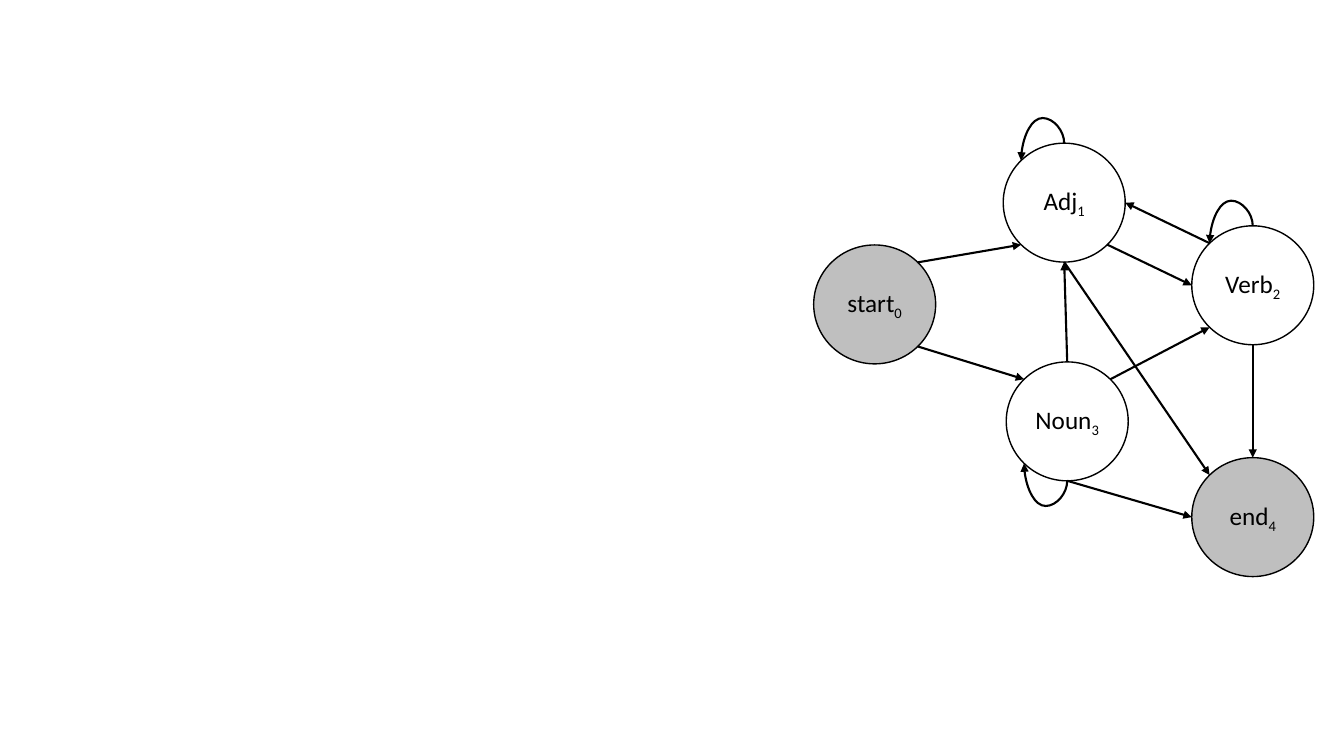
"""Build a slide with the state graph of a part-of-speech Markov model."""
import math
from dataclasses import dataclass

import lxml.etree
import pptx
import pptx.dml.color
import pptx.enum.shapes
import pptx.enum.text
import pptx.oxml.ns
import pptx.util

COLORS = {"ink": "000000", "terminal": "BFBFBF"}
FONT = "Calibri"
STATE_WIDTH, STATE_HEIGHT = 1.21, 1.18
DIAGONAL = math.sqrt(0.5)
LOOP_BULGE = -144600
SITES = {
    "top": (0, -1), "bottom": (0, 1), "left": (-1, 0), "right": (1, 0),
    "top_left": (-DIAGONAL, -DIAGONAL), "top_right": (DIAGONAL, -DIAGONAL),
    "bottom_left": (-DIAGONAL, DIAGONAL), "bottom_right": (DIAGONAL, DIAGONAL),
}


@dataclass(frozen=True)
class State:
    """One state of the model, placed by its left and top in inches."""
    word: str
    index: str
    left: float
    top: float
    terminal: bool = False

    def site(self, side: str) -> tuple[float, float]:
        """Return the point on the outline at the named side."""
        across, down = SITES[side]
        return (self.left + STATE_WIDTH * (1 + across) / 2,
                self.top + STATE_HEIGHT * (1 + down) / 2)


@dataclass(frozen=True)
class Transition:
    """A straight arrow between two states."""
    source: State
source_side: str = ""


@dataclass(frozen=True)
class Step:
    """A straight arrow from a side of one state to a side of another."""
    source: State
    leaves: str
    target: State
    enters: str


@dataclass(frozen=True)
class Loop:
    """A curved arrow from a state back to itself, above or below it."""
    state: State
    side: str


NOUN = State("Noun", "3", 9.98, 3.59)
VERB = State("Verb", "2", 11.82, 2.24)
START = State("start", "0", 8.07, 2.43, terminal=True)
END = State("end", "4", 11.82, 4.54, terminal=True)
ADJ = State("Adj", "1", 9.95, 1.42)
STATES = [NOUN, VERB, START, END, ADJ]
STEPS = [
    Step(START, "top_right", ADJ, "bottom_left"),
    Step(ADJ, "bottom_right", VERB, "left"),
    Step(START, "bottom_right", NOUN, "top_left"),
    Step(NOUN, "top_right", VERB, "bottom_left"),
    Step(NOUN, "bottom", END, "left"),
    Step(VERB, "bottom", END, "top"),
    Step(ADJ, "bottom", END, "top_left"),
    Step(VERB, "top_left", ADJ, "right"),
    Step(NOUN, "top", ADJ, "bottom"),
]
LOOPS = [Loop(NOUN, "bottom"), Loop(ADJ, "top"), Loop(VERB, "top")]


def color(name: str) -> pptx.dml.color.RGBColor:
    """Look up a named colour."""
    return pptx.dml.color.RGBColor.from_string(COLORS[name])


def draw_state(slide: pptx.slide.Slide, state: State) -> None:
    """Draw a state as a circle with its word and subscript index."""
    circle = slide.shapes.add_shape(
        pptx.enum.shapes.MSO_SHAPE.OVAL,
        *map(pptx.util.Inches, (state.left, state.top, STATE_WIDTH, STATE_HEIGHT)))
    circle.shadow.inherit = False
    if state.terminal:
        circle.fill.solid()
        circle.fill.fore_color.rgb = color("terminal")
    else:
        circle.fill.background()
    circle.line.color.rgb = color("ink")
    circle.line.width = pptx.util.Pt(1)
    circle.text_frame.vertical_anchor = pptx.enum.text.MSO_ANCHOR.MIDDLE
    label = circle.text_frame.paragraphs[0]
    label.alignment = pptx.enum.text.PP_ALIGN.CENTER
    for text, baseline in ((state.word, 0), (state.index, -25000)):
        run = label.add_run()
        run.text = text
        run.font.size = pptx.util.Pt(18)
        run.font.name = FONT
        run.font.color.rgb = color("ink")
        if baseline:
            run.font._element.set("baseline", str(baseline))


def draw_arrow(slide: pptx.slide.Slide, kind: pptx.enum.shapes.MSO_CONNECTOR,
               begin: tuple[float, float],
               end: tuple[float, float]) -> pptx.shapes.connector.Connector:
    """Draw a connector with a triangle head at its end."""
    arrow = slide.shapes.add_connector(
        kind, *map(pptx.util.Inches, (*begin, *end)))
    arrow.line.color.rgb = color("ink")
    arrow.line.width = pptx.util.Pt(1.5)
    properties = arrow._element.spPr
    lxml.etree.SubElement(properties.get_or_add_ln(),
                          pptx.oxml.ns.qn("a:tailEnd"), type="triangle")
    lxml.etree.SubElement(properties, pptx.oxml.ns.qn("a:effectLst"))
    return arrow


def draw_loop(slide: pptx.slide.Slide, loop: Loop) -> None:
    """Draw a curved connector turned a quarter so that it bulges outwards."""
    (begin_x, begin_y), (end_x, end_y) = (
        loop.state.site(loop.side), loop.state.site(loop.side + "_left"))
    middle_x, middle_y = (begin_x + end_x) / 2, (begin_y + end_y) / 2
    half_width, half_height = abs(end_y - begin_y) / 2, abs(end_x - begin_x) / 2
    degrees, direction = (270, 1) if loop.side == "top" else (90, -1)
    arrow = draw_arrow(
        slide, pptx.enum.shapes.MSO_CONNECTOR.CURVE,
        (middle_x + half_width, middle_y + direction * half_height),
        (middle_x - half_width, middle_y - direction * half_height))
    properties = arrow._element.spPr
    properties.find(pptx.oxml.ns.qn("a:xfrm")).set("rot", str(degrees * 60000))
    geometry = properties.find(pptx.oxml.ns.qn("a:prstGeom"))
    adjustments = geometry.find(pptx.oxml.ns.qn("a:avLst"))
    lxml.etree.SubElement(adjustments, pptx.oxml.ns.qn("a:gd"),
                          name="adj1", fmla=f"val {LOOP_BULGE}")


def main() -> None:
    """Draw the states, steps and loops, and save the deck."""
    deck = pptx.Presentation()
    deck.slide_width = pptx.util.Inches(13.33)
    deck.slide_height = pptx.util.Inches(7.5)
    slide = deck.slides.add_slide(deck.slide_layouts[6])
    for state in STATES:
        draw_state(slide, state)
    for step in STEPS:
        draw_arrow(slide, pptx.enum.shapes.MSO_CONNECTOR.STRAIGHT,
                   step.source.site(step.leaves), step.target.site(step.enters))
    for loop in LOOPS:
        draw_loop(slide, loop)
    deck.save("out.pptx")


if __name__ == "__main__":
    main()
